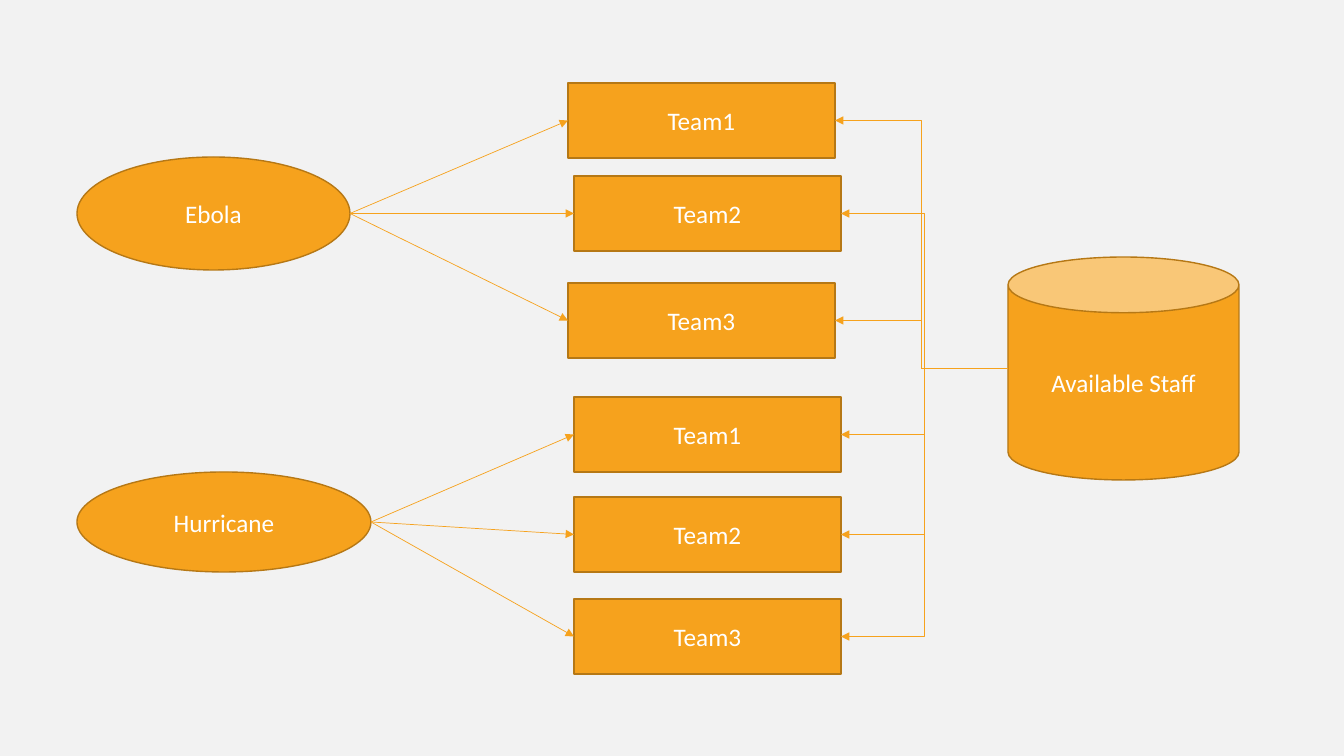
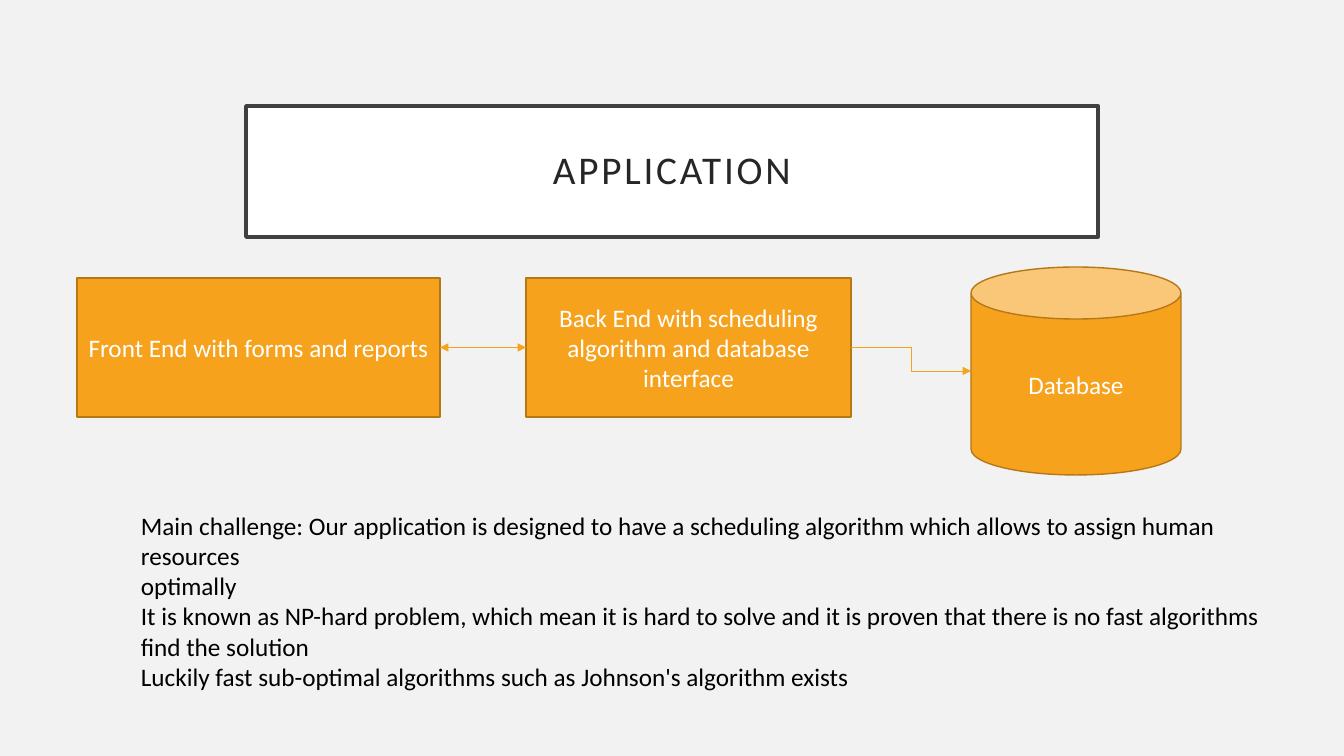
import collections
import dataclasses

import pptx
import pptx.dml.color
import pptx.enum.shapes
import pptx.enum.text
import pptx.oxml
import pptx.oxml.ns
import pptx.util

SHAPE = pptx.enum.shapes.MSO_SHAPE
CONNECTOR = pptx.enum.shapes.MSO_CONNECTOR
ALIGN = pptx.enum.text.PP_ALIGN
ANCHOR = pptx.enum.text.MSO_ANCHOR
SCALE = 914400 / 100.8
TITLE_ONLY, BLANK = 5, 6
LEFT_SIDE, RIGHT_SIDE = 1, 3

Box = collections.namedtuple("Box", "left top width height")


@dataclasses.dataclass(frozen=True)
class Theme:
    """Colours, type sizes and line widths shared by the slides."""
    font: str = "Calibri"
    background: str = "F2F2F2"
    accent: str = "F6A21D"
    outline: str = "B67815"
    light: str = "FFFFFF"
    dark: str = "000000"
    title_text: str = "262626"
    title_line: str = "404040"
    title_size: int = 28
    body_size: int = 18
    title_border: float = 2.5
    border: float = 1
    connector: float = 0.5


THEME = Theme()


def px(length):
    """Turn a length in px into EMU."""
    return pptx.util.Emu(round(length * SCALE))


def colour(value):
    """Turn a hex string into a colour."""
    return pptx.dml.color.RGBColor.from_string(value)


def inside(box, left, top, width, height):
    """Return a box placed relative to the corner of another."""
    return Box(box.left + left, box.top + top, width, height)


def paint(shape, fill, line, width):
    """Give a shape a solid fill and outline."""
    shape.fill.solid()
    shape.fill.fore_color.rgb = colour(fill)
    shape.line.color.rgb = colour(line)
    shape.line.width = pptx.util.Pt(width)


def write(shape, text, size=THEME.body_size, ink=THEME.light, align=ALIGN.CENTER,
          anchor=ANCHOR.MIDDLE, line_spacing=None, tracking=None):
    """Write one paragraph for each line of the text."""
    frame = shape.text_frame
    frame.word_wrap = True
    frame.vertical_anchor = anchor
    for index, line in enumerate(text.split("\n")):
        para = frame.add_paragraph() if index else frame.paragraphs[0]
        para.alignment = align
        if line_spacing:
            para.line_spacing = line_spacing
        span = para.add_run()
        span.text = line
        span.font.name = THEME.font
        span.font.size = pptx.util.Pt(size)
        span.font.color.rgb = colour(ink)
        if tracking:
            span.font._element.set("spc", str(tracking * 100))


def add_node(page, kind, box, text):
    """Add an orange shape with a centred label."""
    node = page.shapes.add_shape(kind, *map(px, box))
    node.shadow.inherit = False
    paint(node, THEME.accent, THEME.outline, THEME.border)
    write(node, text)
    return node


def left_middle(shape):
    """Return the middle of a shape's left side."""
    return shape.left, shape.top + shape.height // 2


def right_middle(shape):
    """Return the middle of a shape's right side."""
    return shape.left + shape.width, shape.top + shape.height // 2


def add_arrow(page, start, end, kind=CONNECTOR.STRAIGHT, both=False):
    """Add a thin connector with an arrowhead at its end, or at both."""
    arrow = page.shapes.add_connector(kind, *start, *end)
    arrow.line.color.rgb = colour(THEME.accent)
    arrow.line.width = pptx.util.Pt(THEME.connector)
    line = arrow.line._get_or_add_ln()
    for name in ["a:headEnd", "a:tailEnd"] if both else ["a:tailEnd"]:
        head = pptx.oxml.parse_xml(f'<{name} {pptx.oxml.ns.nsdecls("a")} type="triangle"/>')
        line.append(head)
    arrow._element.spPr.append(
        pptx.oxml.parse_xml(f'<a:effectLst {pptx.oxml.ns.nsdecls("a")}/>'))
    return arrow


def add_event(page, box, name, oval, offsets):
    """Add an event with arrows to its numbered teams, and return the teams."""
    event = add_node(page, SHAPE.OVAL, inside(box, *oval), name)
    teams = []
    for number, (left, top) in enumerate(offsets, 1):
        team = add_node(page, SHAPE.RECTANGLE, inside(box, left, top, 267, 75), f"Team{number}")
        arrow = add_arrow(page, right_middle(event), left_middle(team))
        arrow.end_connect(team, LEFT_SIDE)
        teams.append(team)
    return teams


def add_staff(page, box, teams):
    """Add the staff store with an elbow arrow to each team."""
    staff = add_node(page, SHAPE.CAN, box, "Available Staff")
    for team in teams:
        add_arrow(page, left_middle(staff), right_middle(team), kind=CONNECTOR.ELBOW)


def add_title(page, box, text):
    """Format the title placeholder as a framed band."""
    title = page.shapes.title
    title.left, title.top, title.width, title.height = map(px, box)
    paint(title, THEME.light, THEME.title_line, THEME.title_border)
    frame = title.text_frame
    frame.margin_left = frame.margin_right = px(20)
    frame.margin_top = frame.margin_bottom = px(20)
    write(title, text, size=THEME.title_size, ink=THEME.title_text,
          line_spacing=0.9, tracking=2)


def add_architecture(page, box):
    """Add the front end, back end and database in a row."""
    front = add_node(page, SHAPE.RECTANGLE, inside(box, 0, 11, 363, 139),
                     "Front End with forms and reports")
    back = add_node(page, SHAPE.RECTANGLE, inside(box, 449, 11, 325, 139),
                    "Back End with scheduling algorithm and database interface")
    database = add_node(page, SHAPE.CAN, inside(box, 894, 0, 210, 208), "Database")
    exchange = add_arrow(page, right_middle(front), left_middle(back), both=True)
    exchange.begin_connect(front, RIGHT_SIDE)
    exchange.end_connect(back, LEFT_SIDE)
    add_arrow(page, right_middle(back), left_middle(database), kind=CONNECTOR.ELBOW)


def add_remarks(page, box, text):
    """Add plain left-aligned text."""
    remarks = page.shapes.add_textbox(*map(px, box))
    write(remarks, text, ink=THEME.dark, align=ALIGN.LEFT, anchor=ANCHOR.TOP)


def build_staffing(deck):
    """Build the slide of events, teams and staff."""
    page = deck.slides.add_slide(deck.slide_layouts[BLANK])
    teams = add_event(page, Box(77, 83, 764, 275), "Ebola", (0, 74, 273, 113),
                      [(491, 0), (497, 93), (491, 200)])
    teams += add_event(page, Box(77, 397, 764, 277), "Hurricane", (0, 75, 294, 100),
                       [(497, 0), (497, 100), (497, 202)])
    add_staff(page, Box(1008, 257, 231, 223), teams)


def build_application(deck):
    """Build the slide of the application's parts and challenge."""
    page = deck.slides.add_slide(deck.slide_layouts[TITLE_ONLY])
    add_title(page, Box(246, 106, 852, 131), "APPLICATION")
    add_architecture(page, Box(77, 267, 1104, 208))
    add_remarks(page, Box(131, 505, 1185, 163),
                "Main challenge: Our application is designed to have a scheduling algorithm "
                "which allows to assign human resources\n"
                "optimally\n"
                "It is known as NP-hard problem, which mean it is hard to solve and it is "
                "proven that there is no fast algorithms\n"
                "find the solution\n"
                "Luckily fast sub-optimal algorithms such as Johnson's algorithm exists")


def main():
    """Build and save the deck."""
    deck = pptx.Presentation()
    deck.slide_width, deck.slide_height = px(1344), px(756)
    backdrop = deck.slide_master.background.fill
    backdrop.solid()
    backdrop.fore_color.rgb = colour(THEME.background)
    build_staffing(deck)
    build_application(deck)
    deck.save("out.pptx")


if __name__ == "__main__":
    main()
